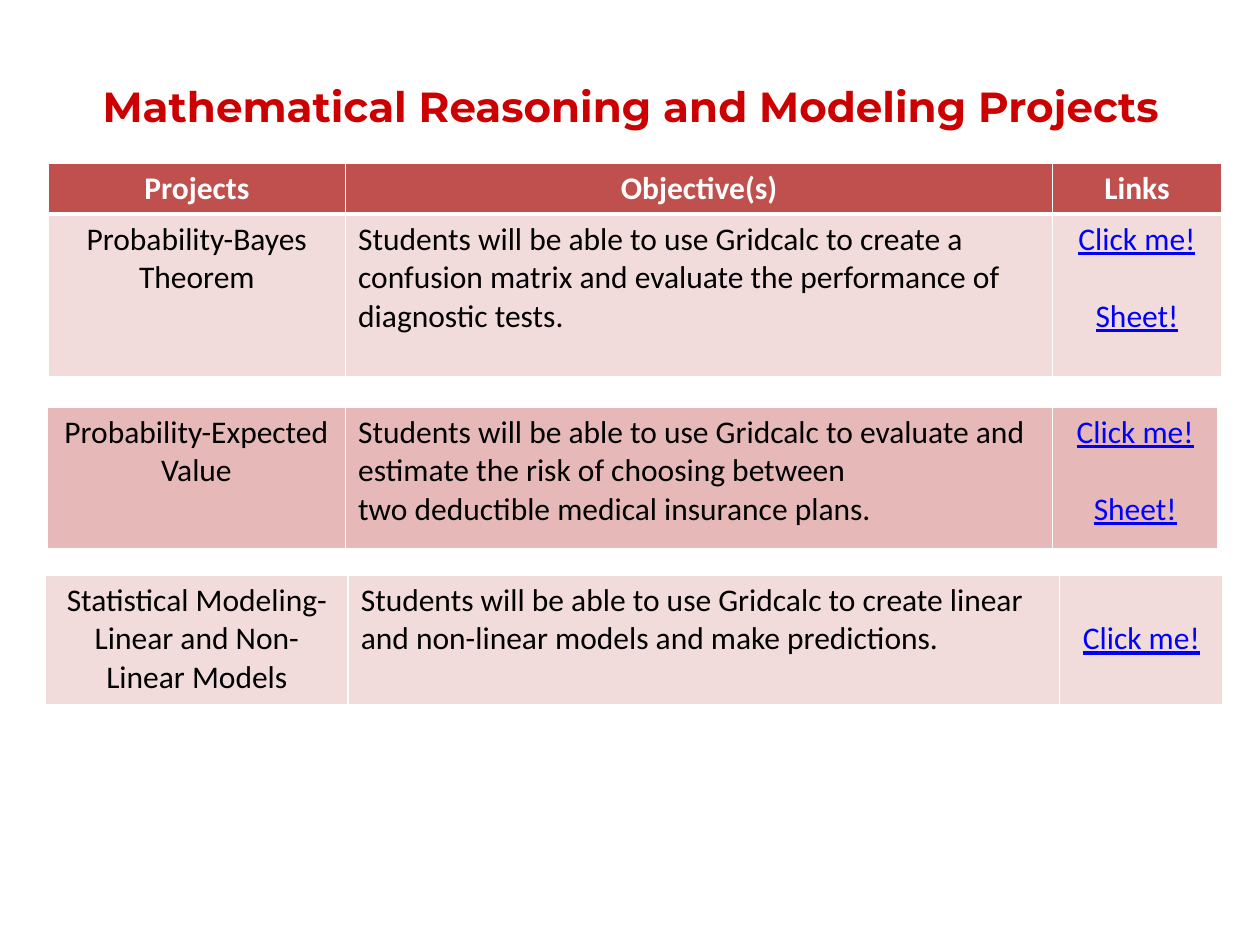
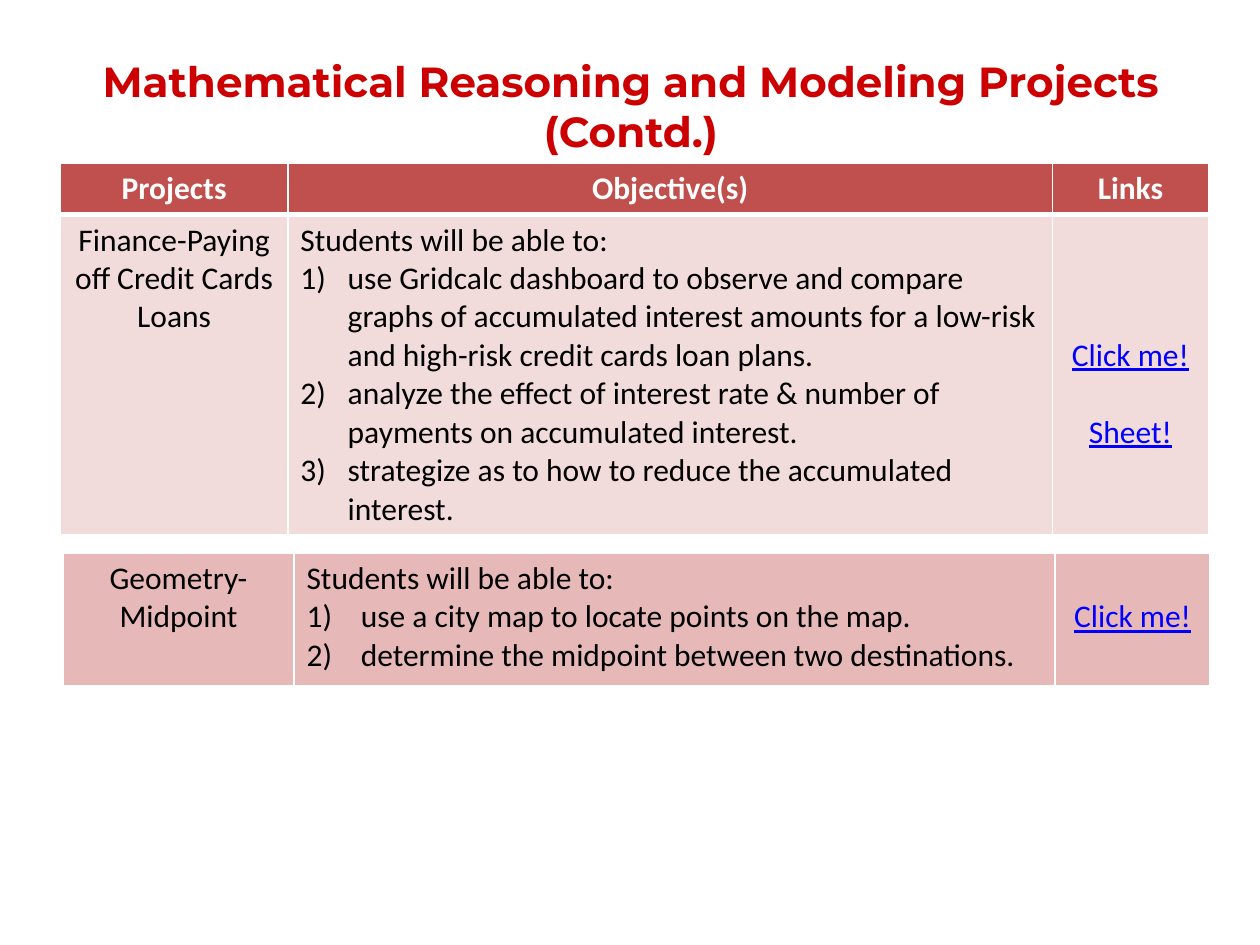
import pptx
import pptx.util
import pptx.dml.color
import pptx.enum.text
import pptx.oxml
import pptx.oxml.ns
from lxml import etree

Pt = pptx.util.Pt
ALIGN = pptx.enum.text.PP_ALIGN
ANCHOR = pptx.enum.text.MSO_ANCHOR

COLORS = {
    "title": "CC0000",
    "header": "C0504D",
    "light": "F2DCDB",
    "dark": "E6B9B8",
    "border": "FFFFFF",
    "header_text": "FFFFFF",
    "text": "000000",
    "link": "0000FF",
}
TITLE = "Mathematical Reasoning and Modeling Projects"
HEADINGS = ["Projects", "Objective(s)", "Links"]
BODY_SIZE = 18
LINE = 22           # height of one body line
HEADER_HEIGHT = 29
CELL_MARGIN = 3.6


def rgb(name):
    return pptx.dml.color.RGBColor.from_string(COLORS[name])


def format_spans(paragraph, font, size, color, bold=False, underline=None):
    for span in paragraph.runs:
        span.font.name = font
        span.font.size = Pt(size)
        span.font.color.rgb = rgb(color)
        span.font.bold = bold
        span.font.underline = underline


def add_page(deck, title):
    """Add a title-only page with the shared title style."""
    page = deck.slides.add_slide(deck.slide_layouts[5])
    box = page.shapes.title
    box.left, box.top, box.width, box.height = Pt(24.5), Pt(31), Pt(672), Pt(59)
    frame = box.text_frame
    frame.text = title
    frame.word_wrap = True
    frame.auto_size = pptx.enum.text.MSO_AUTO_SIZE.NONE
    frame.vertical_anchor = ANCHOR.MIDDLE
    frame.paragraphs[0].alignment = ALIGN.CENTER
    format_spans(frame.paragraphs[0], "Montserrat", 24, "title", bold=True)
    return page


def set_borders(cell, top, bottom):
    """Draw white cell borders; they must precede the fill in the XML."""
    properties = cell._tc.get_or_add_tcPr()
    for side, width in (("L", 1), ("R", 1), ("T", top), ("B", bottom)):
        properties.append(pptx.oxml.parse_xml(
            f'<a:ln{side} {pptx.oxml.ns.nsdecls("a")} w="{Pt(width)}"><a:solidFill>'
            f'<a:srgbClr val="{COLORS["border"]}"/></a:solidFill></a:ln{side}>'))


def number_paragraph(paragraph, indent):
    """Give the paragraph a 1) 2) 3) number with a hanging indent."""
    properties = paragraph._p.get_or_add_pPr()
    properties.set("marL", str(Pt(indent)))
    properties.set("indent", str(-Pt(indent)))
    number = etree.SubElement(properties, pptx.oxml.ns.qn("a:buAutoNum"))
    number.set("type", "arabicParenR")


def fill_cell(cell, lines, color, align=ALIGN.CENTER, text_color="text", bold=False,
              underline=None):
    cell.fill.solid()
    cell.fill.fore_color.rgb = rgb(color)
    cell.vertical_anchor = ANCHOR.TOP
    cell.text_frame.text = "\n".join(lines)
    for paragraph in cell.text_frame.paragraphs:
        paragraph.alignment = align
        format_spans(paragraph, "Calibri", BODY_SIZE, text_color, bold, underline)


def fill_links(cell, links, color, lines_above):
    """Stack links one empty line apart, some lines below the cell top."""
    fill_cell(cell, links, color, text_color="link", underline=True)
    cell.margin_top = Pt(CELL_MARGIN + lines_above * LINE)
    for paragraph in cell.text_frame.paragraphs[1:]:
        paragraph.space_before = Pt(LINE)


def add_project(page, left, top, widths, height, color, project, objective, links,
                steps=(), step_indent=27, lines_above=0, header=False):
    """Add the table of one project, with the heading row if asked."""
    heights = [HEADER_HEIGHT, height] if header else [height]
    table = page.shapes.add_table(len(heights), 3, Pt(left), Pt(top),
                                  Pt(sum(widths)), Pt(sum(heights))).table
    table.first_row = header
    table.horz_banding = False
    for column, width in zip(table.columns, widths):
        column.width = Pt(width)
    for index, row_height in enumerate(heights):
        table.rows[index].height = Pt(row_height)
        for cell in table.rows[index].cells:
            set_borders(cell, top=3 if index else 1, bottom=1 if index else 3)

    if header:
        for cell, heading in zip(table.rows[0].cells, HEADINGS):
            fill_cell(cell, [heading], "header", text_color="header_text", bold=True)

    name_cell, objective_cell, link_cell = table.rows[len(heights) - 1].cells
    fill_cell(name_cell, [project], color)
    fill_cell(objective_cell, [objective, *steps], color, ALIGN.LEFT)
    for paragraph in objective_cell.text_frame.paragraphs[1:]:
        number_paragraph(paragraph, step_indent)
    fill_links(link_cell, links, color, lines_above)


def add_probability_page(deck):
    page = add_page(deck, TITLE)
    add_project(
        page, 27.5, 93, [170, 404, 96.5], 93, "light", "Probability-Bayes Theorem",
        "Students will be able to use Gridcalc to create a confusion matrix and "
        "evaluate the performance of diagnostic tests.",
        ["Click me!", "Sheet!"], header=True)
    add_project(
        page, 27, 232.5, [170.5, 404, 94.5], 82, "dark", "Probability-Expected Value",
        "Students will be able to use Gridcalc to evaluate and estimate the risk of "
        "choosing between two\u00a0deductible medical insurance plans.",
        ["Click me!", "Sheet!"])
    add_project(
        page, 26, 328.5, [173, 406.5, 93.5], 75, "light",
        "Statistical Modeling-Linear and Non-Linear Models",
        "Students will be able to use Gridcalc to create linear and non-linear models "
        "and make predictions.",
        ["Click me!"], lines_above=1)


def add_finance_page(deck):
    page = add_page(deck, TITLE + " (Contd.)")
    add_project(
        page, 34.5, 93.5, [130, 437, 89], 183, "light",
        "Finance-Paying off Credit Cards Loans", "Students will be able to:",
        ["Click me!", "Sheet!"],
        steps=["use Gridcalc dashboard to observe and compare graphs of accumulated "
               "interest amounts for a low-risk and high-risk credit cards loan plans.",
               "analyze the effect of interest rate & number of payments on "
               "accumulated interest.",
               "strategize as to how to reduce the accumulated interest."],
        lines_above=3, header=True)
    add_project(
        page, 36, 316, [132, 435, 88.5], 77, "dark",
        "Geometry-Midpoint", "Students will be able to:", ["Click me!"],
        steps=["use a city map to locate points on the map.",
               "determine the midpoint between two destinations."],
        step_indent=31, lines_above=1)


def main():
    deck = pptx.Presentation()
    deck.slide_width, deck.slide_height = Pt(720), Pt(540)
    add_probability_page(deck)
    add_finance_page(deck)
    deck.save("out.pptx")


main()
